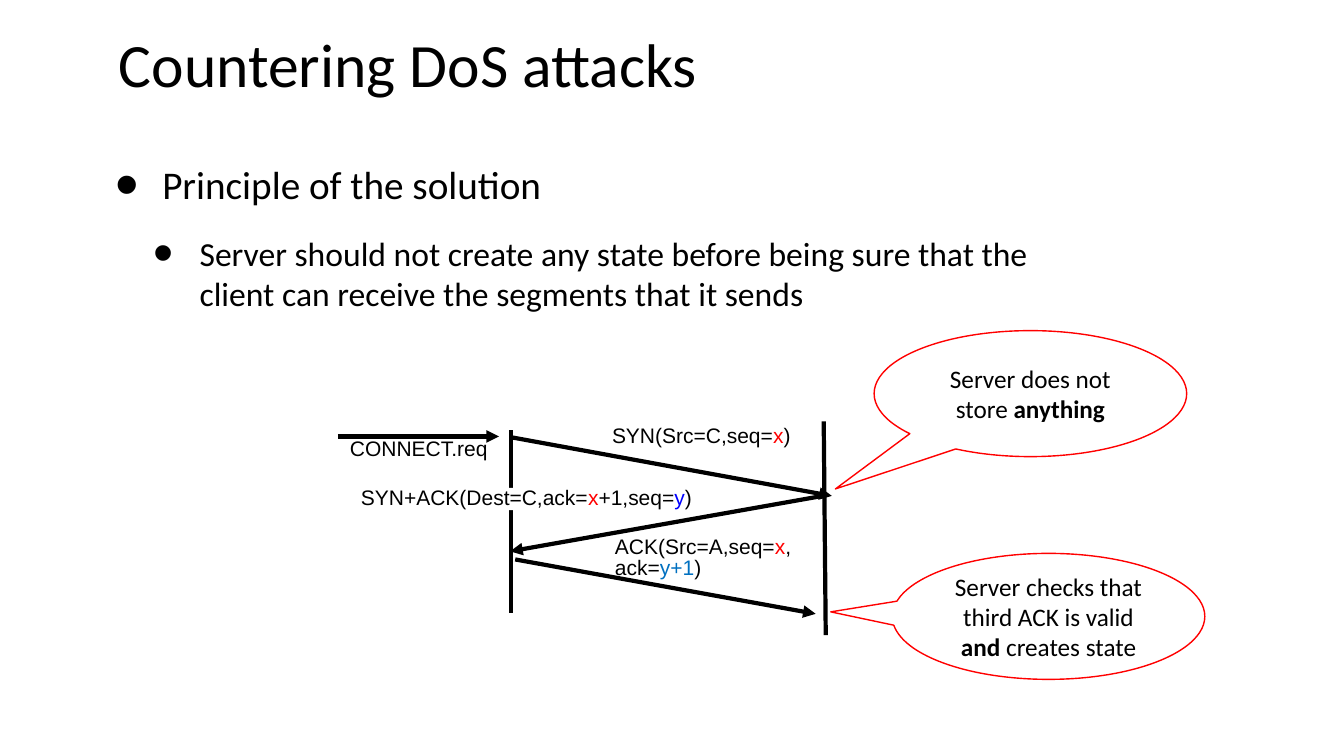
from lxml.etree import SubElement
from pptx import Presentation
from pptx.dml.color import RGBColor
from pptx.enum.shapes import MSO_CONNECTOR, MSO_SHAPE
from pptx.enum.text import MSO_ANCHOR, PP_ALIGN
from pptx.oxml.ns import qn
from pptx.util import Inches, Pt

THEME = {
    "black": "000000", "white": "FFFFFF", "red": "FF0000",
    "blue": "0000FF", "sky": "0070C0",
    "text font": "Calibri", "diagram font": "Arial",
    "title": 44, "point": 28, "subpoint": 24, "callout": 18, "message": 15,
    "arrow line": 3, "callout line": 1,
    "tight": 0.83, "bullet gap": 17.7, "bullet percent": 171,
}

# Content: paragraphs are lists of (text, colour, bold); boxes are left, top, width, height
TITLE = "Countering DoS attacks"
BULLETS = [  # text, size, text indent
    ("Principle of the solution", "point", 0.46),
    ("Server should not create any state before being sure that the "
     "client can receive the segments that it sends", "subpoint", 0.83),
]
BULLET_HANG = 0.46
LIFELINES = [((5.07, 4.27), (5.07, 6.08)), ((8.17, 4.18), (8.19, 6.3))]
ARROWS = [
    ((3.35, 4.33), (4.95, 4.33)),
    ((5.08, 4.34), (8.25, 4.92)),
    ((8.16, 4.92), (5.06, 5.47)),
    ((5.11, 5.55), (8.09, 6.09)),
]
MESSAGES = [  # box, fill, wrap, paragraph
    ((3.47, 4.36, 1.38, 0.22), None, False, [("CONNECT.req", "black", None)]),
    ((6.07, 4.22, 1.88, 0.23), None, True,
     [("SYN(Src=C,seq=", "black", None), ("x", "red", None), (")", "black", None)]),
    ((3.58, 4.84, 3.32, 0.22), "white", False,
     [("SYN+ACK(Dest=C,ack=", "black", None), ("x", "red", None),
      ("+1,seq=", "black", None), ("y", "blue", None), (")", "black", None)]),
    ((6.1, 5.33, 1.77, 0.42), None, False,
     [("ACK(Src=A,seq=", "black", None), ("x", "red", None), (",\nack=", "black", None),
      ("y+1", "sky", None), (")", "black", None)]),
]
CALLOUTS = [  # box, pointer tip, paragraphs
    ((8.67, 3.28, 3.1, 1.25), (-0.624, 0.757),
     [[("Server does not store ", "black", False), ("anything", "black", True)]]),
    ((8.85, 5.49, 3.1, 1.25), (-0.697, -0.036),
     [[("Server checks that third ACK is valid", "black", False)],
      [("and ", "black", True), ("creates state", "black", False)]]),
]


def color(name):
    return RGBColor.from_string(THEME[name])


def style_run(run, size, font="text font", color_name="black", bold=None):
    run.font.size = Pt(THEME[size])
    run.font.name = THEME[font]
    run.font.color.rgb = color(color_name)
    run.font.bold = bold


def fill_paragraph(paragraph, pieces, size, font):
    for text, color_name, bold in pieces:
        for number, line in enumerate(text.split("\n")):
            if number:
                paragraph.add_line_break()
            run = paragraph.add_run()
            run.text = line
            style_run(run, size, font, color_name, bold)


def set_frame(frame, horizontal=0, vertical=0, wrap=True):
    frame.word_wrap = wrap
    frame.vertical_anchor = MSO_ANCHOR.MIDDLE
    frame.margin_left = frame.margin_right = Inches(horizontal)
    frame.margin_top = frame.margin_bottom = Inches(vertical)


def add_text(slide, box, horizontal=0, vertical=0, wrap=True):
    shape = slide.shapes.add_textbox(*map(Inches, box))
    set_frame(shape.text_frame, horizontal, vertical, wrap)
    return shape


def add_bullet(paragraph, indent):
    properties = paragraph._p.get_or_add_pPr()
    properties.set("marL", str(Inches(indent)))
    properties.set("indent", str(-Inches(BULLET_HANG)))
    SubElement(properties, qn("a:buSzPct"), val=str(THEME["bullet percent"] * 1000))
    SubElement(properties, qn("a:buFont"), typeface=THEME["diagram font"])
    SubElement(properties, qn("a:buChar"), char="•")


def add_line(slide, start, end, arrow=False):
    connector = slide.shapes.add_connector(
        MSO_CONNECTOR.STRAIGHT, *map(Inches, start + end))
    connector.line.width = Pt(THEME["arrow line"])
    connector.line.color.rgb = color("black")
    if arrow:
        SubElement(connector.line._get_or_add_ln(), qn("a:tailEnd"), type="triangle")
    SubElement(connector._element.spPr, qn("a:effectLst"))


def main():
    presentation = Presentation()
    presentation.slide_width, presentation.slide_height = Inches(13.33), Inches(7.5)
    slide = presentation.slides.add_slide(presentation.slide_layouts[6])

    # Title
    title = add_text(slide, (1.08, 0.03, 9.44, 1.32), 0.1, 0.05).text_frame
    title.text = TITLE
    title.paragraphs[0].line_spacing = THEME["tight"]
    style_run(title.paragraphs[0].runs[0], "title")

    # Bullets
    body = add_text(slide, (1.15, 0, 9.66, 4.7)).text_frame
    body.text = "\n".join(text for text, _, _ in BULLETS)
    for level, (paragraph, (_, size, indent)) in enumerate(zip(body.paragraphs, BULLETS)):
        paragraph.level = level
        paragraph.space_before = Pt(THEME["bullet gap"])
        add_bullet(paragraph, indent)
        style_run(paragraph.runs[0], size)

    # Sequence diagram
    for start, end in LIFELINES:
        add_line(slide, start, end)
    for start, end in ARROWS:
        add_line(slide, start, end, arrow=True)
    for box, fill, wrap, pieces in MESSAGES:
        label = add_text(slide, box, wrap=wrap)
        if fill:
            label.fill.solid()
            label.fill.fore_color.rgb = color(fill)
        paragraph = label.text_frame.paragraphs[0]
        paragraph.line_spacing = THEME["tight"]
        fill_paragraph(paragraph, pieces, "message", "diagram font")

    # Callouts
    for box, tip, paragraphs in CALLOUTS:
        callout = slide.shapes.add_shape(
            MSO_SHAPE.OVAL_CALLOUT, *map(Inches, box))
        callout.adjustments[0], callout.adjustments[1] = tip
        callout.shadow.inherit = False
        callout.fill.solid()
        callout.fill.fore_color.rgb = color("white")
        callout.line.color.rgb = color("red")
        callout.line.width = Pt(THEME["callout line"])
        frame = callout.text_frame
        set_frame(frame, 0.07, 0.04)
        for number, pieces in enumerate(paragraphs):
            paragraph = frame.add_paragraph() if number else frame.paragraphs[0]
            paragraph.alignment = PP_ALIGN.CENTER
            fill_paragraph(paragraph, pieces, "callout", "text font")

    presentation.save("out.pptx")


if __name__ == "__main__":
    main()
